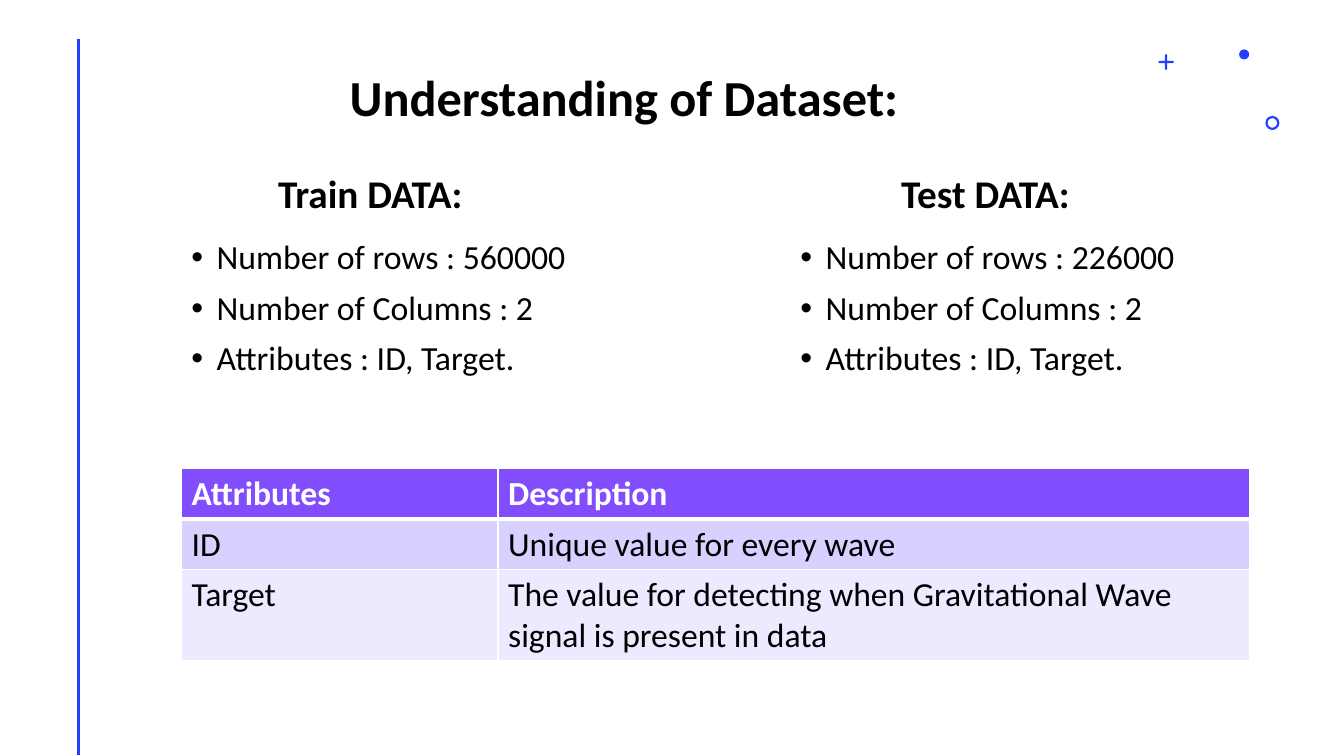
from lxml.etree import SubElement
from pptx import Presentation
from pptx.dml.color import RGBColor
from pptx.enum.shapes import MSO_CONNECTOR, MSO_SHAPE as SHAPE
from pptx.enum.text import MSO_ANCHOR as ANCHOR
from pptx.oxml.ns import qn
from pptx.util import Pt

PX = 9144  # EMU per px, 100 px to the inch
FONT = "Calibri"
COLORS = {
    "accent": "243FFF",
    "text": "000000",
    "white": "FFFFFF",
    "header": "814DFF",
    "odd_row": "D8D0FF",
    "even_row": "EDE9FF",
}


def px(*lengths):
    return [length * PX for length in lengths]


def rgb(name):
    return RGBColor.from_string(COLORS[name])


def add_run(paragraph, text, size, bold=False, color="text"):
    run = paragraph.add_run()
    run.text = text
    run.font.name = FONT
    run.font.size = Pt(size)
    run.font.bold = bold
    run.font.color.rgb = rgb(color)


def add_text(slide, box, lines, size, bold=False, anchor=ANCHOR.TOP, before=0, bullet=False):
    frame = slide.shapes.add_textbox(*px(*box)).text_frame
    frame.word_wrap = True
    frame.vertical_anchor = anchor
    for index, line in enumerate(lines):
        paragraph = frame.paragraphs[0] if index == 0 else frame.add_paragraph()
        paragraph.line_spacing = 0.9
        paragraph.space_before = Pt(before)
        if bullet:
            properties = paragraph._p.get_or_add_pPr()
            properties.set("marL", str(25 * PX))
            properties.set("indent", str(-25 * PX))
            SubElement(properties, qn("a:buFont"), typeface="Arial")
            SubElement(properties, qn("a:buChar"), char="•")
        add_run(paragraph, line, size, bold)


def add_margin_line(slide, x, top, bottom):
    margin = slide.shapes.add_connector(MSO_CONNECTOR.STRAIGHT, *px(x, top, x, bottom))
    margin.line.color.rgb = rgb("accent")
    margin.line.width = Pt(2)
    SubElement(margin._element.spPr, qn("a:effectLst"))


def add_ornaments(slide, left, top):
    """Plus, ring and dot in the top right corner."""
    for kind, x, y, size, adjustment in (
        (SHAPE.CROSS, 0, 5, 15, 0.43),
        (SHAPE.DONUT, 106, 66, 14, 0.16),
        (SHAPE.OVAL, 80, 0, 10, None),
    ):
        ornament = slide.shapes.add_shape(kind, *px(left + x, top + y, size, size))
        if adjustment:
            ornament.adjustments[0] = adjustment
        ornament.shadow.inherit = False
        ornament.fill.solid()
        ornament.fill.fore_color.rgb = rgb("accent")
        ornament.line.fill.background()


def add_dataset(slide, left, top, heading_offset, heading, facts):
    add_text(slide, (left + heading_offset, top, 224, 51), [heading], 28,
             bold=True, anchor=ANCHOR.BOTTOM, before=10)
    add_text(slide, (left, top + 65, 395, 151), facts, 24.1, before=10, bullet=True)


def add_border(cell, side, width):
    border = SubElement(cell._tc.get_or_add_tcPr(), qn(f"a:ln{side}"), w=str(Pt(width)))
    fill = SubElement(border, qn("a:solidFill"))
    SubElement(fill, qn("a:srgbClr"), val=COLORS["white"])


def add_attribute_table(slide, left, top, widths, heights, rows):
    box = px(left, top, sum(widths), sum(heights))
    table = slide.shapes.add_table(len(rows), len(widths), *box).table
    for column, width in zip(table.columns, widths):
        column.width = width * PX
    row_fills = ("header", "odd_row", "even_row")
    for r, (texts, height, row_fill) in enumerate(zip(rows, heights, row_fills)):
        table.rows[r].height = height * PX
        is_header = r == 0
        for c, text in enumerate(texts):
            cell = table.cell(r, c)
            for side, width in (("L", 1), ("R", 1), ("T", 3 if r == 1 else 1),
                                ("B", 3 if is_header else 1)):
                add_border(cell, side, width)
            cell.fill.solid()
            cell.fill.fore_color.rgb = rgb(row_fill)
            add_run(cell.text_frame.paragraphs[0], text, 24, is_header,
                    "white" if is_header else "text")


def main():
    deck = Presentation()
    deck.slide_width, deck.slide_height = px(1333, 750)
    slide = deck.slides.add_slide(deck.slide_layouts[6])

    add_margin_line(slide, 78, 39, 749)
    add_ornaments(slide, 1149, 49)
    add_text(slide, (337, 44, 659, 111), ["Understanding of Dataset:"], 36,
             bold=True, anchor=ANCHOR.MIDDLE)

    shared_facts = ["Number of Columns : 2", "Attributes : ID, Target."]
    for left, heading_offset, heading, row_count in (
        (180, 86, "Train DATA:", 560000),
        (784, 100, "Test DATA:", 226000),
    ):
        facts = [f"Number of rows : {row_count}"] + shared_facts
        add_dataset(slide, left, 169, heading_offset, heading, facts)

    add_attribute_table(slide, 180, 465, (314, 745), (50, 50, 90), [
        ("Attributes", "Description"),
        ("ID", "Unique value for every wave"),
        ("Target", "The value for detecting when Gravitational Wave signal is present in data"),
    ])
    deck.save("out.pptx")


if __name__ == "__main__":
    main()
